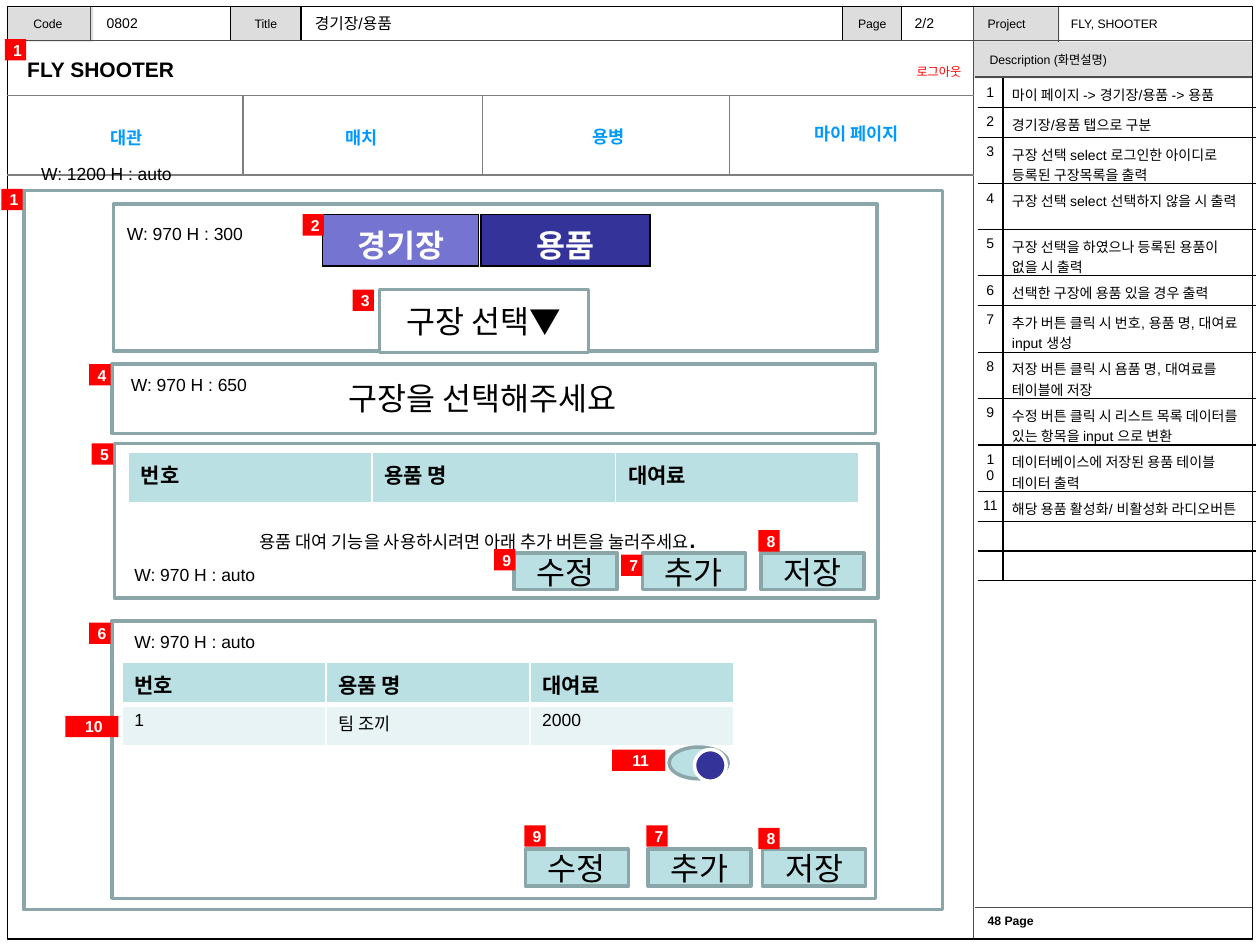
from lxml import etree
from pptx import Presentation, util as u
from pptx.dml.color import RGBColor
from pptx.enum import shapes, text
from pptx.oxml import ns

BLACK = RGBColor(0x00, 0x00, 0x00)
WHITE = RGBColor(0xFF, 0xFF, 0xFF)
RED = RGBColor(0xFF, 0x00, 0x00)
BLUE = RGBColor(0x00, 0x99, 0xFF)
LIGHT_GRAY = RGBColor(0xDD, 0xDD, 0xDD)
DARK_GRAY = RGBColor(0x4D, 0x4D, 0x4D)
GRAY = RGBColor(0x7F, 0x7F, 0x7F)
SLATE = RGBColor(0x8A, 0xA6, 0xA8)
TEAL = RGBColor(0xBB, 0xE0, 0xE3)
PALE_TEAL = RGBColor(0xE7, 0xF3, 0xF4)
VIOLET = RGBColor(0x75, 0x75, 0xD1)
NAVY = RGBColor(0x33, 0x33, 0x99)

LEFT, CENTER, RIGHT = text.PP_ALIGN.LEFT, text.PP_ALIGN.CENTER, text.PP_ALIGN.RIGHT
TOP, MIDDLE = text.MSO_ANCHOR.TOP, text.MSO_ANCHOR.MIDDLE
RECTANGLE, OVAL = shapes.MSO_SHAPE.RECTANGLE, shapes.MSO_SHAPE.OVAL
INSETS = (0.25, 0.13, 0.25, 0.13)
NO_GRID_STYLE = "{2D5ABB26-0587-4C30-8999-92F81FD0307C}"


class Wireframe:
    font_name = "Arial"

    def __init__(self, slide):
        self.slide = slide

    def add_words(self, paragraph, words, size, color=BLACK, bold=False, align=LEFT):
        paragraph.alignment = align
        run = paragraph.add_run()
        run.text = words
        for name, value in dict(name=self.font_name, size=u.Pt(size), bold=bold).items():
            setattr(run.font, name, value)
        run.font.color.rgb = color

    def fill_frame(self, frame, words, size, anchor=TOP, insets=INSETS, wrap=True, **style):
        left, top, right, bottom = map(u.Cm, insets)
        settings = dict(word_wrap=wrap, vertical_anchor=anchor, margin_left=left,
                        margin_top=top, margin_right=right, margin_bottom=bottom)
        for name, value in settings.items():
            setattr(frame, name, value)
        self.add_words(frame.paragraphs[0], words, size, **style)

    def label(self, box, words, size, **style):
        shape = self.slide.shapes.add_textbox(*map(u.Cm, box))
        self.fill_frame(shape.text_frame, words, size, **style)
        return shape

    def box(self, box, fill=None, line=None, width=0.75, kind=RECTANGLE, words="", size=7, **style):
        shape = self.slide.shapes.add_shape(kind, *map(u.Cm, box))
        shape.shadow.inherit = False
        if fill is None:
            shape.fill.background()
        else:
            shape.fill.solid()
            shape.fill.fore_color.rgb = fill
        if line is None:
            shape.line.fill.background()
        else:
            shape.line.color.rgb = line
            shape.line.width = u.Pt(width)
        if words:
            self.fill_frame(shape.text_frame, words, size, anchor=MIDDLE, **style)

    def panel(self, box):
        self.box(box, WHITE, SLATE, 2)

    def button(self, left, top, words):
        self.box((left, top, 2.08, 0.74), TEAL, SLATE, 2, words=words, size=18,
                 align=CENTER, insets=(0, 0, 0, 0), wrap=False)

    def badge(self, number, left, top):
        width = 1.07 if number > 9 else 0.43
        self.box((left, top, width, 0.43), RED, words=str(number), size=9, color=WHITE,
                 bold=True, align=CENTER, insets=(0.08, 0, 0, 0), wrap=False)

    def line(self, x1, y1, x2, y2, color=DARK_GRAY):
        connector = self.slide.shapes.add_connector(
            shapes.MSO_CONNECTOR.STRAIGHT, *map(u.Cm, (x1, y1, x2, y2)))
        connector.line.color.rgb = color
        connector.line.width = u.Pt(0.75)
        etree.SubElement(connector._element.spPr, ns.qn("a:effectLst"))

    def table(self, left, top, columns, heights):
        frame = self.slide.shapes.add_table(
            len(heights), len(columns), *map(u.Cm, (left, top, sum(columns), sum(heights))))
        table = frame.table
        table.first_row = table.horz_banding = False
        table._tbl.tblPr.find(ns.qn("a:tableStyleId")).text = NO_GRID_STYLE
        for column, width in zip(table.columns, columns):
            column.width = u.Cm(width)
        for row, height in zip(table.rows, heights):
            row.height = u.Cm(height)
        return table

    def cell(self, cell, words, size, fill, sides, border_color, insets=INSETS, **style):
        """sides maps L, R, T, B to border widths in points."""
        properties = cell._tc.get_or_add_tcPr()
        for side in (name for name in "LRTB" if name in sides):
            border = etree.SubElement(properties, ns.qn(f"a:ln{side}"), w=str(int(u.Pt(sides[side]))))
            solid = etree.SubElement(border, ns.qn("a:solidFill"))
            etree.SubElement(solid, ns.qn("a:srgbClr"), val=str(border_color))
        if fill is None:
            cell.fill.background()
        else:
            cell.fill.solid()
            cell.fill.fore_color.rgb = fill
        margins = ("margin_left", "margin_top", "margin_right", "margin_bottom")
        for name, value in zip(margins, insets):
            setattr(cell, name, u.Cm(value))
        paragraph = cell.text_frame.paragraphs[0]
        if words:
            self.add_words(paragraph, words, size, **style)
        else:
            etree.SubElement(paragraph._p, ns.qn("a:endParaRPr"), sz=str(size * 100))

    def item_table(self, left, top, column, height, rows=()):
        heading = ("번호", "용품 명", "대여료")
        table = self.table(left, top, [column] * 3, [height] * (1 + len(rows)))
        for index, words in enumerate(heading):
            self.cell(table.cell(0, index), words, 12, TEAL, dict(L=1, R=1, T=1, B=3), WHITE, bold=True)
        for number, row in enumerate(rows, 1):
            for index, words in enumerate(row):
                self.cell(table.cell(number, index), words, 10, PALE_TEAL,
                          dict(L=1, R=1, T=3, B=1), WHITE)


def main():
    presentation = Presentation()
    presentation.slide_width, presentation.slide_height = u.Cm(25.4), u.Cm(19.05)
    page = Wireframe(presentation.slides.add_slide(presentation.slide_layouts[6]))

    # Document header and frame
    page.box((19.63, 0.84, 5.61, 0.74), LIGHT_GRAY, words="Description (화면설명)",
             insets=(0.32, 0.13, 0.25, 0.13))
    for left, width, words in ((16.99, 1.19, "Page"), (4.65, 1.42, "Title")):
        page.box((left, 0.13, width, 0.69), LIGHT_GRAY, BLACK, words=words, align=CENTER, wrap=False)
    for left in (0.15, 19.63):
        page.box((left, 0.15, 1.73, 0.69), LIGHT_GRAY)
    page.label((0.15, 0.13, 1.63, 0.69), "Code", 7, anchor=MIDDLE, align=CENTER)
    page.label((19.71, 18.31, 5.44, 0.61), "48 Page", 7, bold=True, insets=(0.2, 0.1, 0.2, 0.1))
    page.label((19.66, 0.2, 1.68, 0.61), "Project", 7)
    page.label((21.34, 0.2, 3.81, 0.61), "FLY, SHOOTER", 7)
    for left, width, words, size in ((6.1, 10.8, "경기장/용품", 9), (1.9, 2.59, "0802", 8),
                                     (18.19, 1.32, "2/2", 8)):
        page.label((left, 0.14, width, 0.66), words, size, anchor=MIDDLE)
    for ends in ((19.63, 0.13, 19.63, 18.92), (0.18, 0.81, 25.25, 0.81), (21.34, 0.15, 21.34, 0.84),
                 (19.66, 18.29, 25.25, 18.29), (19.66, 1.55, 25.25, 1.55), (1.83, 0.15, 1.83, 0.81)):
        page.line(*ends)
    page.box((0.15, 0.13, 25.1, 18.8), line=BLACK)

    # Site title and navigation
    page.label((0.3, 1.02, 15.82, 0.76), "FLY SHOOTER", 12, bold=True, anchor=MIDDLE)
    page.label((16.89, 1.17, 2.74, 0.56), "로그아웃", 7, color=RED, align=RIGHT)
    for y in (1.93, 3.53):
        page.line(0.15, y, 19.63, y, GRAY)
    for x in (4.9, 9.73, 14.71):
        page.line(x, 1.93, x, 3.53, GRAY)
    for left, top, words in ((0.2, 2.44, "대관"), (4.93, 2.44, "매치"),
                             (9.91, 2.41, "용병"), (14.91, 2.36, "마이 페이지")):
        page.label((left, top, 4.72, 0.69), words, 10, color=BLUE, bold=True, align=CENTER)

    # Content panels
    for box in ((0.48, 3.84, 18.52, 14.5), (2.29, 4.11, 15.39, 2.97), (2.26, 7.34, 15.39, 1.4),
                (2.31, 8.94, 15.39, 3.12), (2.26, 12.52, 15.39, 5.59)):
        page.panel(box)
    for left, top, words in ((0.58, 3.15, "W: 1200 H : auto"), (2.31, 4.37, "W: 970 H : 300"),
                             (2.39, 7.42, "W: 970 H : 650"), (2.46, 11.25, "W: 970 H : auto"),
                             (2.46, 12.6, "W: 970 H : auto")):
        page.label((left, top, 3.2, 0.69), words, 10, wrap=False)

    # Tabs and venue selector
    for left, width, words, fill in ((6.5, 3.15, "경기장", VIOLET), (9.7, 3.4, "용품", NAVY)):
        tab = page.table(left, 4.32, [width], [1.04])
        page.cell(tab.cell(0, 0), words, 18, fill, dict.fromkeys("LRTB", 1), BLACK,
                  color=WHITE, bold=True, align=CENTER)
    page.box((7.65, 5.84, 4.22, 1.27), WHITE, SLATE, 2, words="구장 선택▼", size=18,
             align=CENTER, wrap=False)
    page.label((6.5, 7.52, 6.45, 1.02), "구장을 선택해주세요", 18, align=CENTER, wrap=False)

    # Item lists
    page.item_table(2.59, 9.12, 4.91, 1.04)
    page.item_table(2.46, 13.36, 4.11, 0.84, [("1", "팀 조끼", "2000")])
    notice = page.label((4.5, 10.29, 10.29, 1.02),
                        "용품 대여 기능을 사용하시려면 아래 추가 버튼을 눌러주세요", 10, wrap=False)
    page.add_words(notice.text_frame.paragraphs[0], ".", 18, align=CENTER)

    # Toggle and buttons
    page.box((13.49, 15.06, 1.19, 0.64), TEAL, SLATE, 2, OVAL)
    page.box((14, 15.11, 0.64, 0.64), NAVY, WHITE, 2, OVAL)
    for top, lefts in ((11.15, (10.36, 12.95, 15.34)), (17.12, (10.59, 13.06, 15.37))):
        for left, words in zip(lefts, ("수정", "추가", "저장")):
            page.button(left, top, words)

    # Numbered markers
    for marker in ((1, 0.1, 0.79), (1, 0.03, 3.81), (2, 6.1, 4.32), (3, 7.11, 5.84), (4, 1.8, 7.34),
                   (5, 1.85, 8.94), (6, 1.8, 12.55), (7, 12.52, 11.18), (8, 15.29, 10.69),
                   (9, 9.96, 11.07), (10, 1.32, 14.43), (11, 12.34, 15.11), (7, 13.03, 16.64),
                   (8, 15.29, 16.69), (9, 10.57, 16.64)):
        page.badge(*marker)

    # Description list
    notes = ("마이 페이지 -> 경기장/용품 -> 용품", "경기장/용품 탭으로 구분",
             "구장 선택 select 로그인한 아이디로 등록된 구장목록을 출력", "구장 선택 select 선택하지 않을 시 출력",
             "구장 선택을 하였으나 등록된 용품이 없을 시 출력", "선택한 구장에 용품 있을 경우 출력",
             "추가 버튼 클릭 시 번호, 용품 명, 대여료 input 생성", "저장 버튼 클릭 시 욤품 명, 대여료를 테이블에 저장",
             "수정 버튼 클릭 시 리스트 목록 데이터를 있는 항목을 input 으로 변환",
             "데이터베이스에 저장된 용품 테이블 데이터 출력", "해당 용품 활성화/ 비활성화 라디오버튼", "", "")
    two_line_rows = {3, 4, 5, 7, 8, 9, 10}
    heights = [0.92 if number in two_line_rows else 0.58 for number in range(1, len(notes) + 1)]
    table = page.table(19.71, 1.57, [0.51, 5.1], heights)
    for index, note in enumerate(notes):
        number = str(index + 1) if note else ""
        page.cell(table.cell(index, 0), number, 8, None, dict(R=0.75, B=0.75), BLACK,
                  insets=(0.1, 0.13, 0.1, 0.13), align=CENTER)
        page.cell(table.cell(index, 1), note, 8, None, dict(L=0.75, B=0.75), BLACK,
                  insets=(0.18, 0.13, 0.18, 0.13))

    presentation.save("out.pptx")


if __name__ == "__main__":
    main()
